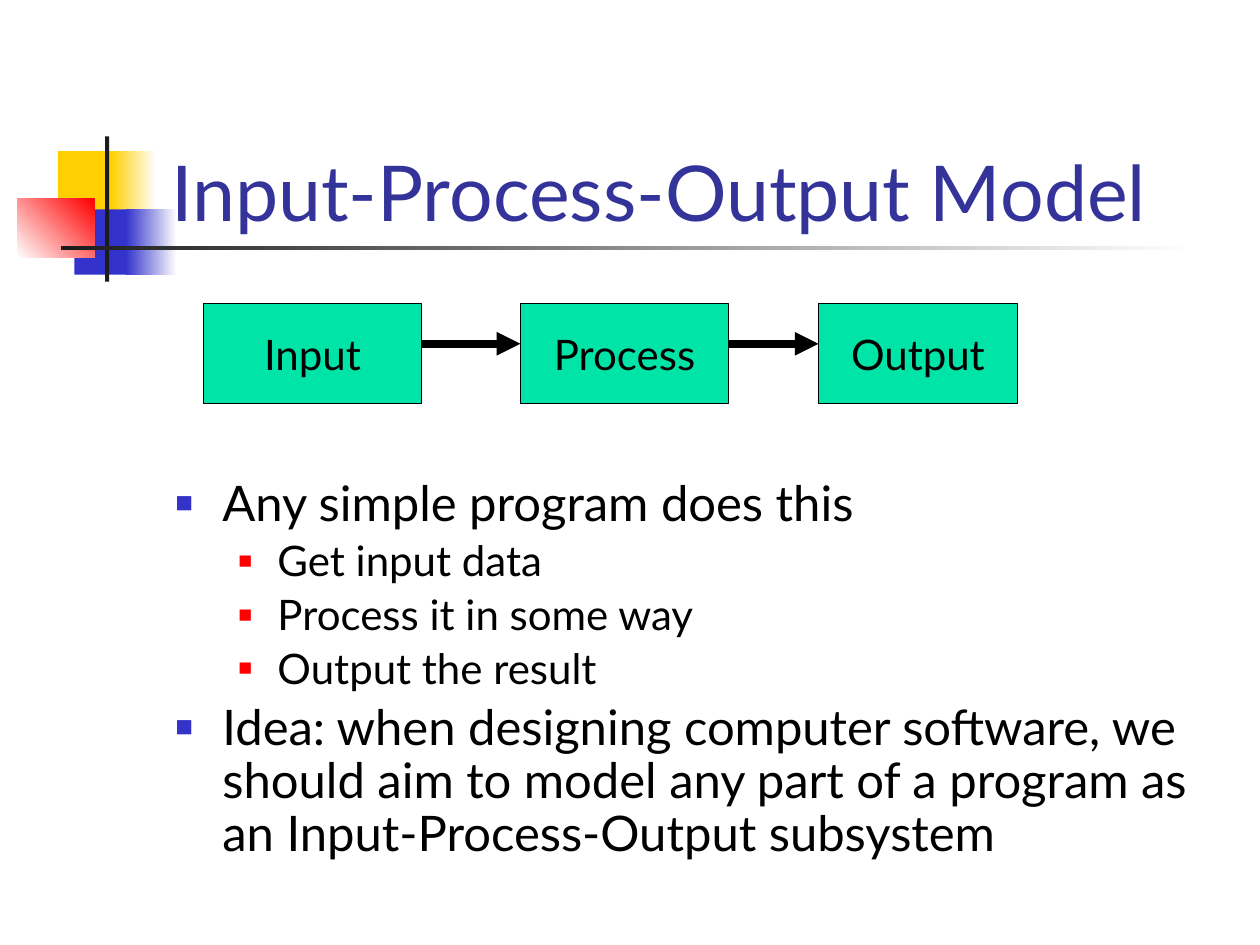
from lxml.etree import SubElement
from pptx import Presentation
from pptx.dml.color import RGBColor
from pptx.enum.shapes import MSO_CONNECTOR, MSO_SHAPE
from pptx.enum.text import MSO_ANCHOR, MSO_AUTO_SIZE, PP_ALIGN
from pptx.oxml.ns import qn
from pptx.util import Cm, Pt

FONT = "Lato"
BLACK = RGBColor(0x00, 0x00, 0x00)
WHITE = RGBColor(0xFF, 0xFF, 0xFF)
YELLOW = RGBColor(0xFF, 0xCF, 0x01)
BLUE = RGBColor(0x33, 0x33, 0xCC)
RED = RGBColor(0xFF, 0x00, 0x00)
CHARCOAL = RGBColor(0x1C, 0x1C, 0x1C)
NAVY = RGBColor(0x33, 0x33, 0x99)
GREEN = RGBColor(0x00, 0xE4, 0xA8)


def write(p, text, size=24, color=BLACK, align=PP_ALIGN.LEFT):
    p.alignment = align
    r = p.add_run()
    r.text = text
    r.font.name = FONT
    r.font.size = Pt(size)
    r.font.color.rgb = color


def add_rect(s, left, top, width, height, start, end=None, angle=0):
    sp = s.shapes.add_shape(MSO_SHAPE.RECTANGLE, Cm(left), Cm(top), Cm(width), Cm(height))
    sp.shadow.inherit = False
    sp.line.fill.background()
    if end is None:
        sp.fill.solid()
        sp.fill.fore_color.rgb = start
    else:
        sp.fill.gradient()
        sp.fill.gradient_angle = angle
        for stop, color in zip(sp.fill.gradient_stops, (start, end)):
            stop.color.rgb = color
    return sp


prs = Presentation()
prs.slide_width, prs.slide_height = Cm(25.4), Cm(19.05)
s = prs.slides.add_slide(prs.slide_layouts[1])
title, body = s.placeholders

# Corner ornament and title rule
for ornament in (
    (1.17, 3.05, 1.22, 1.32, YELLOW),
    (2.24, 3.05, 0.91, 1.32, YELLOW, WHITE),
    (1.5, 4.22, 1.17, 1.32, BLUE),
    (2.54, 4.22, 1.02, 1.32, BLUE, WHITE),
    (0.35, 4.01, 1.55, 1.18, WHITE, RED, 45),
    (2.12, 2.75, 0.08, 2.93, CHARCOAL),
    (1.23, 4.95, 22.86, 0.09, CHARCOAL, WHITE),
):
    add_rect(s, *ornament)

# Placeholders stand in front of the ornament
for sp, box in ((title, (3.2, 1.73, 21.64, 3.18)), (body, (3.28, 9.53, 21.59, 8.81))):
    s.shapes._spTree.append(sp._element)
    sp.left, sp.top, sp.width, sp.height = [Cm(v) for v in box]
    sp.text_frame.auto_size = MSO_AUTO_SIZE.NONE

# Title
title.text_frame.vertical_anchor = MSO_ANCHOR.BOTTOM
write(title.text_frame.paragraphs[0], "Input-Process-Output Model", size=44, color=NAVY)

# Bulleted list: size, bullet colour, bullet percent, left margin, hanging indent
levels = [(28, BLUE, 60, 0.95, 0.95), (24, RED, 55, 2.06, 0.79)]
items = [
    (0, "Any simple program does this"),
    (1, "Get input data"),
    (1, "Process it in some way"),
    (1, "Output the result"),
    (0, "Idea: when designing computer software, we should aim to model "
        "any part of a program as an Input-Process-Output subsystem"),
]
tf = body.text_frame
for i, (level, text) in enumerate(items):
    size, color, percent, margin, hanging = levels[level]
    p = tf.add_paragraph() if i else tf.paragraphs[0]
    p.level = level
    p.line_spacing = 0.9
    write(p, text, size=size)
    pPr = p._p.get_or_add_pPr()
    pPr.set("marL", str(Cm(margin)))
    pPr.set("indent", str(-Cm(hanging)))
    SubElement(SubElement(pPr, qn("a:buClr")), qn("a:srgbClr"), val=str(color))
    SubElement(pPr, qn("a:buSzPct"), val=str(percent * 1000))
    SubElement(pPr, qn("a:buFont"), typeface="Arial")
    SubElement(pPr, qn("a:buChar"), char="■")

# Flow boxes
boxes = []
for text, left, width in (("Input", 4.1, 4.4), ("Process", 10.49, 4.2), ("Output", 16.5, 4.01)):
    sp = add_rect(s, left, 6.12, width, 2.01, GREEN)
    sp.line.color.rgb = BLACK
    sp.line.width = Pt(0.75)
    sp.text_frame.word_wrap = False
    sp.text_frame.vertical_anchor = MSO_ANCHOR.MIDDLE
    write(sp.text_frame.paragraphs[0], text, align=PP_ALIGN.CENTER)
    boxes.append(sp)

# Arrows from each box to the next
for a, b in zip(boxes, boxes[1:]):
    arrow = s.shapes.add_connector(
        MSO_CONNECTOR.STRAIGHT, a.left + a.width, Cm(6.93), b.left, Cm(6.93))
    arrow.line.color.rgb = BLACK
    arrow.line.width = Pt(4.5)
    SubElement(arrow.line._get_or_add_ln(), qn("a:tailEnd"), type="triangle")
    SubElement(arrow._element.spPr, qn("a:effectLst"))

prs.save("out.pptx")
